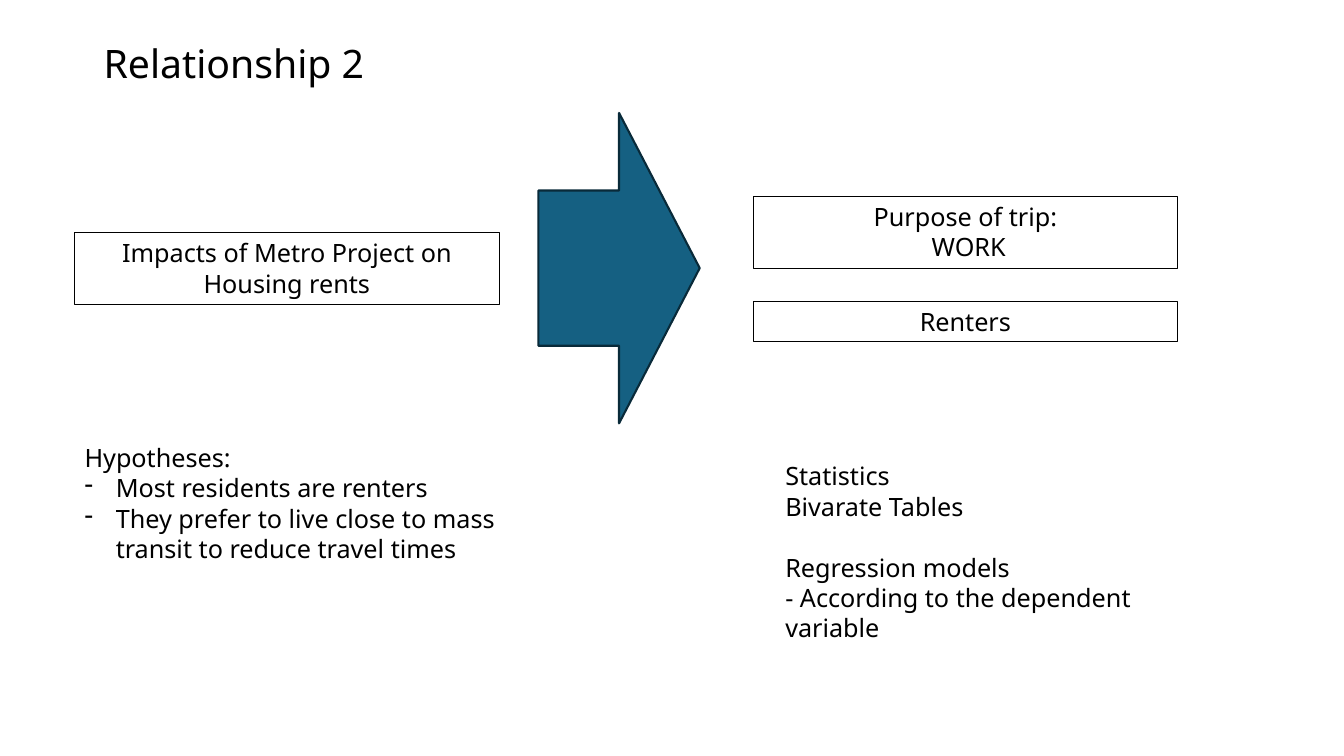
from lxml.etree import SubElement
from pptx import Presentation
from pptx.dml.color import RGBColor
from pptx.enum.shapes import MSO_SHAPE
from pptx.enum.text import MSO_AUTO_SIZE, PP_ALIGN
from pptx.oxml.ns import qn
from pptx.util import Inches, Pt

FONT = "Noto Sans"
BLACK = "000000"
BODY_SIZE = 18
BLANK_LINE = 22  # points, one line of body text


def color(hex_value):
    return RGBColor.from_string(hex_value)


def add_text(slide, box, lines, size=BODY_SIZE, **paragraph_format):
    """Add a wrapping text box with one paragraph per line."""
    text_box = slide.shapes.add_textbox(*map(Inches, box))
    frame = text_box.text_frame
    frame.word_wrap = True
    frame.auto_size = MSO_AUTO_SIZE.SHAPE_TO_FIT_TEXT
    frame.text = "\n".join(lines)
    for paragraph in frame.paragraphs:
        for name, value in paragraph_format.items():
            setattr(paragraph, name, value)
        font_format = {"name": FONT, "size": Pt(size)}
        for run in paragraph.runs:
            for name, value in font_format.items():
                setattr(run.font, name, value)
            run.font.color.rgb = color(BLACK)
    return text_box


presentation = Presentation()
presentation.slide_width = Inches(13.33)
presentation.slide_height = Inches(7.5)
slide = presentation.slides.add_slide(presentation.slide_layouts[6])

add_text(slide, (0.93, 0.34, 5.73, 0.57), ["Relationship 2"], size=28)

# Variables on both sides of the arrow
variables = [
    ((7.47, 1.95, 4.21, 0.71), ["Purpose of trip:", " WORK"]),
    ((7.47, 2.99, 4.21, 0.4), ["Renters"]),
    ((0.74, 2.31, 4.21, 0.71), ["Impacts of Metro Project on Housing rents"]),
]
for box, lines in variables:
    variable = add_text(slide, box, lines, alignment=PP_ALIGN.CENTER)
    variable.line.color.rgb = color(BLACK)
    variable.line.width = Pt(0.75)

arrow = slide.shapes.add_shape(
    MSO_SHAPE.RIGHT_ARROW, Inches(5.34), Inches(1.12), Inches(1.6), Inches(3.08)
)
arrow.shadow.inherit = False
arrow.fill.solid()
arrow.fill.fore_color.rgb = color("156082")
arrow.line.color.rgb = color("092A39")
arrow.line.width = Pt(1.5)

hypotheses = add_text(slide, (0.74, 4.34, 4.44, 1.31), [
    "Hypotheses:",
    "Most residents are renters",
    "They prefer to live close to mass transit to reduce travel times",
])
indent = Inches(0.31)
for hypothesis in hypotheses.text_frame.paragraphs[1:]:
    properties = hypothesis._p.get_or_add_pPr()
    properties.set("marL", str(indent))
    properties.set("indent", str(-indent))
    SubElement(properties, qn("a:buFontTx"))
    SubElement(properties, qn("a:buChar"), char="-")

methods = add_text(slide, (7.69, 4.52, 4.44, 1.62), [
    "Statistics",
    "Bivarate Tables",
    "Regression models",
    "- According to the dependent variable",
])
methods.text_frame.paragraphs[2].space_before = Pt(BLANK_LINE)

presentation.save("out.pptx")
